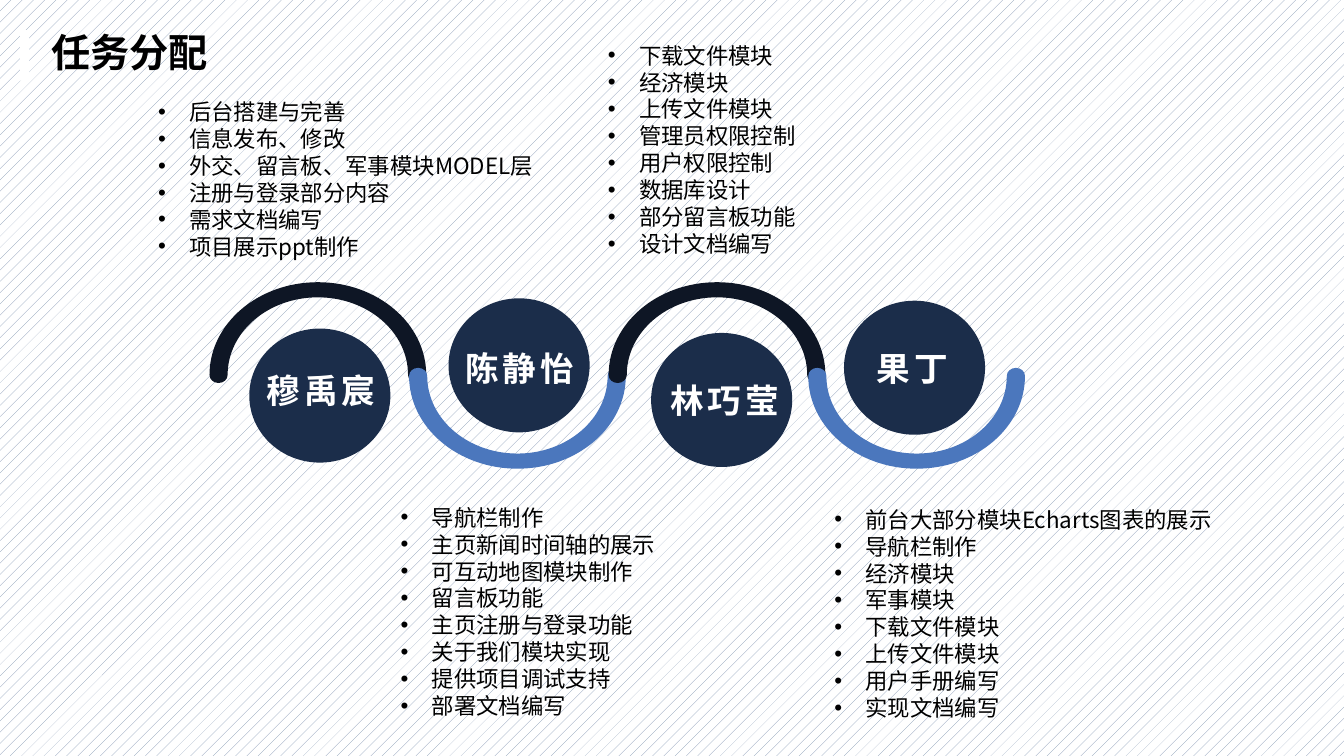
from dataclasses import dataclass
from math import cos, pi, sin, tan

from lxml import etree
from pptx import Presentation
from pptx import util as u
from pptx.dml.color import RGBColor
from pptx.enum import dml, shapes, text
from pptx.oxml.ns import qn

COLUMNS, ROWS = 160, 90
CELL = u.Inches(7.5) // ROWS


@dataclass(frozen=True)
class Theme:
    ink: RGBColor = RGBColor(0x00, 0x00, 0x00)
    paper: RGBColor = RGBColor(0xFF, 0xFF, 0xFF)
    hatch: RGBColor = RGBColor(0x7C, 0x90, 0xAE)
    disc: RGBColor = RGBColor(0x1B, 0x2D, 0x4A)
    crest: RGBColor = RGBColor(0x0E, 0x16, 0x25)
    trough: RGBColor = RGBColor(0x4B, 0x77, 0xBD)
    latin: str = "Arial"
    chinese: str = "Noto Sans CJK SC"
    title_size: int = 28
    name_size: int = 24
    task_size: int = 16
    name_spacing: int = 3


@dataclass(frozen=True)
class Area:
    left: float
    top: float
    width: float
    height: float

    def emu(self) -> tuple[int, int, int, int]:
        return cells(self.left), cells(self.top), cells(self.width), cells(self.height)


@dataclass(frozen=True)
class Member:
    name: str
    disc: Area
    label: Area
    list_area: Area
    tasks: tuple[str, ...]


def cells(count: float) -> int:
    return round(count * CELL)


def disc_area(left: float, top: float) -> Area:
    return Area(left, top, 16.8, 15.96)


def label_area(left: float, top: float) -> Area:
    return Area(left, top, 17.04, 6.24)


THEME = Theme()
TITLE = Area(4.88, 2.76, 21.24, 6.84)
TITLE_BAR = Area(2.4, 3.6, 1.08, 6)
WAVE_LEFT, WAVE_PITCH = 37.84, 23.76
MEMBERS = (
    Member("穆禹宸", disc_area(29.68, 39.12), label_area(29.68, 43.32),
           Area(17.64, 11.12, 51.6, 20.64),
           ("后台搭建与完善", "信息发布、修改", "外交、留言板、军事模块MODEL层",
            "注册与登录部分内容", "需求文档编写", "项目展示ppt制作")),
    Member("陈静怡", disc_area(53.4, 35.52), label_area(53.36, 40.68),
           Area(46.52, 59.4, 51.6, 30.6),
           ("导航栏制作", "主页新闻时间轴的展示", "可互动地图模块制作", "留言板功能",
            "主页注册与登录功能", "关于我们模块实现", "提供项目调试支持", "部署文档编写")),
    Member("林巧莹", disc_area(77.52, 39.64), label_area(77.76, 44.52),
           Area(71.2, 4.4, 26.88, 27.12),
           ("下载文件模块", "经济模块", "上传文件模块", "管理员权限控制",
            "用户权限控制", "数据库设计", "部分留言板功能", "设计文档编写")),
    Member("果丁", disc_area(100.48, 35.8), label_area(100.08, 40.68),
           Area(98.16, 59.64, 51.6, 27.12),
           ("前台大部分模块Echarts图表的展示", "导航栏制作", "经济模块", "军事模块",
            "下载文件模块", "上传文件模块", "用户手册编写", "实现文档编写")),
)


def paint(shape, color: RGBColor) -> None:
    shape.fill.solid()
    shape.fill.fore_color.rgb = color
    shape.line.fill.background()
    shape.shadow.inherit = False


def add_span(para, words: str, size: int, color: RGBColor, face: str,
             bold: bool = False, spacing: int = 0) -> None:
    span = para.add_run()
    span.text = words
    span.font.size = u.Pt(size)
    span.font.bold = bold
    span.font.name = face
    span.font.color.rgb = color
    properties = span.font._element
    etree.SubElement(properties, qn("a:ea")).set("typeface", THEME.chinese)
    if spacing:
        properties.set("spc", str(spacing * 100))


def add_bullet(para) -> None:
    properties = para._p.get_or_add_pPr()
    indent = u.Inches(0.31)
    properties.set("marL", str(indent))
    properties.set("indent", str(-indent))
    etree.SubElement(properties, qn("a:buFont")).set("typeface", THEME.latin)
    etree.SubElement(properties, qn("a:buChar")).set("char", "•")


def add_title(page, words: str) -> None:
    title = page.shapes.title
    title.left, title.top, title.width, title.height = TITLE.emu()
    frame = title.text_frame
    frame.word_wrap = False
    frame.auto_size = text.MSO_AUTO_SIZE.SHAPE_TO_FIT_TEXT
    frame.vertical_anchor = text.MSO_ANCHOR.TOP
    para = frame.paragraphs[0]
    para.alignment = text.PP_ALIGN.LEFT
    add_span(para, words, THEME.title_size, THEME.ink, THEME.latin, bold=True)


def add_block(page, kind: shapes.MSO_SHAPE, area: Area, color: RGBColor) -> None:
    paint(page.shapes.add_shape(kind, *area.emu()), color)


def add_box(page, area: Area):
    frame = page.shapes.add_textbox(*area.emu()).text_frame
    frame.word_wrap = True
    frame.auto_size = text.MSO_AUTO_SIZE.SHAPE_TO_FIT_TEXT
    return frame


def add_name(page, member: Member) -> None:
    frame = add_box(page, member.label)
    frame.vertical_anchor = text.MSO_ANCHOR.MIDDLE
    frame.margin_left = frame.margin_right = u.Inches(0.06)
    frame.margin_top = frame.margin_bottom = u.Inches(0.06)
    para = frame.paragraphs[0]
    para.alignment = text.PP_ALIGN.CENTER
    add_span(para, member.name, THEME.name_size, THEME.paper, THEME.chinese,
             bold=True, spacing=THEME.name_spacing)


def add_tasks(page, member: Member) -> None:
    frame = add_box(page, member.list_area)
    for index, task in enumerate(member.tasks):
        para = frame.add_paragraph() if index else frame.paragraphs[0]
        add_bullet(para)
        add_span(para, task, THEME.task_size, THEME.ink, THEME.chinese)


def half_turn(x: float, y: float, across: float, up: float,
              start: float, turn: int) -> list[tuple[int, int]]:
    reach = turn * 4 / 3 * tan(pi / 8)
    points = []
    for quarter in range(2):
        a = start + turn * quarter * pi / 2
        b = a + turn * pi / 2
        points += [(cos(a) - reach * sin(a), sin(a) + reach * cos(a)),
                   (cos(b) + reach * sin(b), sin(b) - reach * cos(b)),
                   (cos(b), sin(b))]
    return [(cells(x + across * h), cells(y - up * v)) for h, v in points]


def curve_outline(shape) -> None:
    lines = list(shape._element.iter(qn("a:lnTo")))
    for first, second, third in zip(lines[::3], lines[1::3], lines[2::3]):
        curve = etree.Element(qn("a:cubicBezTo"))
        first.addprevious(curve)
        for line in (first, second, third):
            curve.append(line[0])
            line.getparent().remove(line)


def add_wave(page) -> None:
    wave = page.shapes.add_group_shape()
    for index in range(len(MEMBERS)):
        crest = index % 2 == 0
        x = WAVE_LEFT + index * WAVE_PITCH
        y, flip = (44.64, 1) if crest else (44.76, -1)
        outline = (half_turn(x, y, 12.9, 11.04 * flip, pi, -1)
                   + half_turn(x + 11.82, y, 1.08, 0.96 * flip, 0, -1)
                   + half_turn(x, y, 10.74, 9.24 * flip, 0, 1)
                   + half_turn(x - 11.82, y, 1.08, 0.96 * flip, 0, -1))
        builder = wave.shapes.build_freeform(*outline[-1])
        builder.add_line_segments(outline, close=True)
        ribbon = builder.convert_to_shape()
        curve_outline(ribbon)
        paint(ribbon, THEME.crest if crest else THEME.trough)


def main() -> None:
    deck = Presentation()
    deck.slide_width, deck.slide_height = cells(COLUMNS), cells(ROWS)
    page = deck.slides.add_slide(deck.slide_layouts[5])
    backdrop = page.background.fill
    backdrop.patterned()
    backdrop.pattern = dml.MSO_PATTERN.PERCENT_10
    backdrop.fore_color.rgb = THEME.hatch
    backdrop.back_color.rgb = THEME.paper

    add_title(page, "任务分配")
    add_block(page, shapes.MSO_SHAPE.RECTANGLE, TITLE_BAR, THEME.paper)
    add_wave(page)
    for member in MEMBERS:
        add_block(page, shapes.MSO_SHAPE.OVAL, member.disc, THEME.disc)
        add_name(page, member)
        add_tasks(page, member)
    deck.save("out.pptx")


if __name__ == "__main__":
    main()
